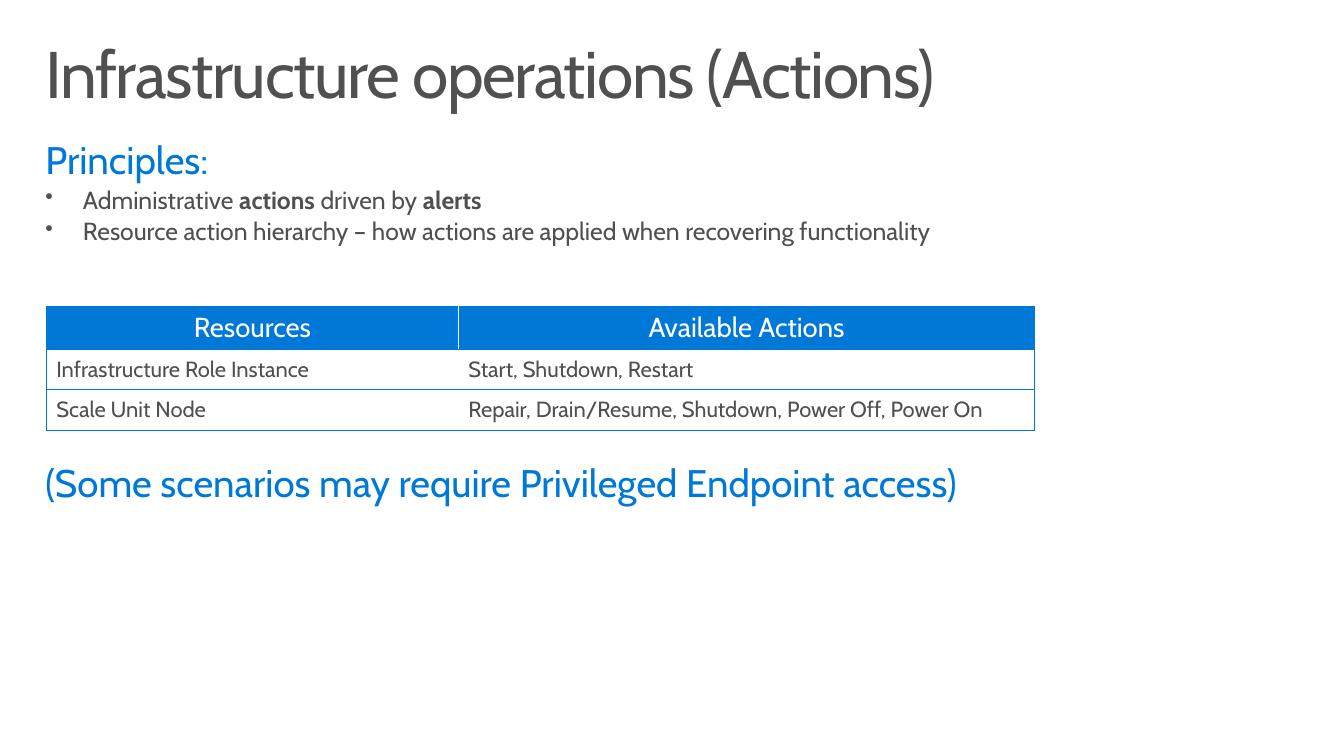
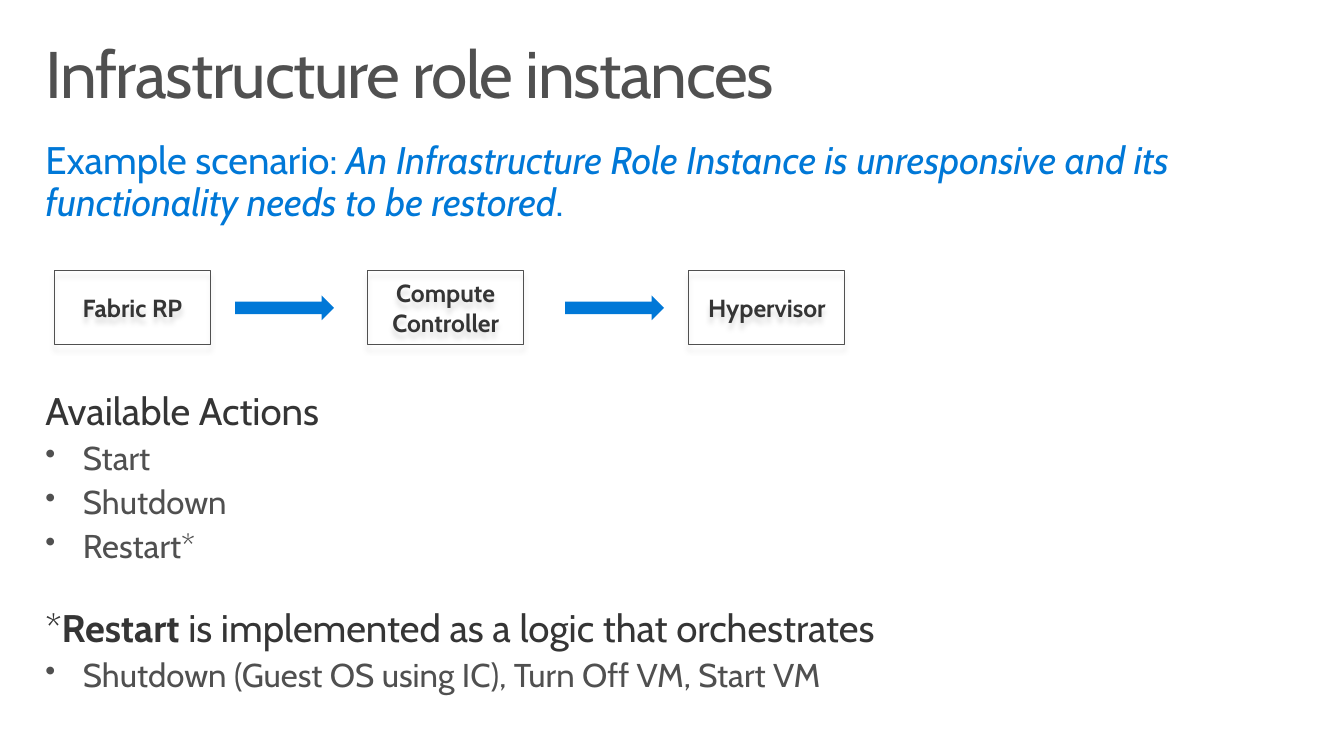
from pptx import Presentation
from pptx.dml.color import RGBColor
from pptx.enum.shapes import MSO_SHAPE as Shape
from pptx.enum.text import MSO_ANCHOR as Anchor, PP_ALIGN as Align
from pptx.oxml.ns import qn
from pptx.util import Inches, Pt
from lxml.etree import SubElement

BLUE = RGBColor(0x00, 0x78, 0xD7)
GRAY = RGBColor(0x50, 0x50, 0x50)
DARK = RGBColor(0x35, 0x35, 0x35)
WHITE = RGBColor(0xFF, 0xFF, 0xFF)
BLACK = RGBColor(0x00, 0x00, 0x00)
FONT = "Cabin"
TEXT_LEFT, TEXT_WIDTH = 0.3, 13
HEADING_SIZE = 28


class Deck:
    def __init__(self):
        self.presentation = Presentation()
        self.presentation.slide_width = Inches(13.6)
        self.presentation.slide_height = Inches(7.65)
        self.slide = None

    def add_slide(self, title):
        self.slide = self.presentation.slides.add_slide(self.presentation.slide_layouts[6])
        paragraph = self.text_box(0.32, 1).paragraphs[0]
        self.set_text(paragraph, title, 48, GRAY)
        for run in paragraph.runs:
            run._r.get_or_add_rPr().set("spc", "-100")

    def text_box(self, top, height):
        box = self.slide.shapes.add_textbox(
            Inches(TEXT_LEFT), Inches(top), Inches(TEXT_WIDTH), Inches(height))
        frame = box.text_frame
        frame.word_wrap = True
        frame.margin_left = frame.margin_right = Inches(0.16)
        frame.margin_top = frame.margin_bottom = Inches(0.1)
        frame.paragraphs[0].line_spacing = 0.9
        return frame

    def set_text(self, paragraph, content, size, color, italic=False):
        """Set a string, or a list whose every second part is bold or italic."""
        if isinstance(content, str):
            paragraph.text = content
        else:
            for index, part in enumerate(content):
                run = paragraph.add_run()
                run.text = part
                if index % 2:
                    run.font.bold = not italic
                    run.font.italic = italic
        for run in paragraph.runs:
            run.font.name = FONT
            run.font.size = Pt(size)
            run.font.color.rgb = color

    def heading(self, top, height, content, color=BLUE, italic=False):
        """Start a text box with a heading and return its frame."""
        frame = self.text_box(top, height)
        self.set_text(frame.paragraphs[0], content, HEADING_SIZE, color, italic)
        return frame

    def bullet(self, frame, content, size, before=0, after=0):
        paragraph = frame.add_paragraph()
        properties = paragraph._p.get_or_add_pPr()
        properties.set("marL", str(Inches(0.38)))
        properties.set("indent", str(Inches(-0.38)))
        SubElement(properties, qn("a:buSzPct"), val="90000")
        SubElement(properties, qn("a:buChar"), char="•")
        paragraph.line_spacing = 0.9
        paragraph.space_before = Pt(before)
        paragraph.space_after = Pt(after)
        self.set_text(paragraph, content, size, GRAY)

    def table(self, left, top, widths, row_height, rows):
        """Draw a table whose first row is the header."""
        table_frame = self.slide.shapes.add_table(
            len(rows), len(widths), Inches(left), Inches(top),
            Inches(sum(widths)), Inches(row_height * len(rows)))
        table = table_frame.table
        table.first_row = table.horz_banding = False
        for column, width in zip(table.columns, widths):
            column.width = Inches(width)
        for row_index, row in enumerate(rows):
            table.rows[row_index].height = Inches(row_height)
            for column_index, text in enumerate(row):
                cell = table.cell(row_index, column_index)
                paragraph = cell.text_frame.paragraphs[0]
                self.cell_borders(cell, column_index == 0, column_index == len(widths) - 1)
                if row_index == 0:
                    cell.fill.solid()
                    cell.fill.fore_color.rgb = BLUE
                    paragraph.alignment = Align.CENTER
                    self.set_text(paragraph, text, 20, WHITE)
                else:
                    cell.fill.background()
                    cell.vertical_anchor = Anchor.MIDDLE
                    self.set_text(paragraph, text, 16, GRAY)

    def cell_borders(self, cell, is_first, is_last):
        """Outer edges and row rules are blue, inner column edges white."""
        outer, inner = (BLUE, 0.5), (WHITE, 1)
        borders = {"a:lnL": outer if is_first else inner,
                   "a:lnR": outer if is_last else inner,
                   "a:lnT": outer, "a:lnB": outer}
        properties = cell._tc.get_or_add_tcPr()
        for tag, (color, width) in borders.items():
            line = SubElement(properties, qn(tag), w=str(Pt(width)))
            fill = SubElement(line, qn("a:solidFill"))
            SubElement(fill, qn("a:srgbClr"), val=str(color))

    def shape(self, kind, left, top, width, height):
        shape = self.slide.shapes.add_shape(
            kind, Inches(left), Inches(top), Inches(width), Inches(height))
        shape.shadow.inherit = False
        return shape

    def component(self, left, text):
        shape = self.shape(Shape.RECTANGLE, left, 2.74, 1.58, 0.75)
        shape.fill.background()
        shape.line.color.rgb = GRAY
        shape.line.width = Pt(0.85)
        effects = shape._element.spPr.find(qn("a:effectLst"))
        shadow = SubElement(effects, qn("a:outerShdw"), blurRad=str(Pt(4)),
                            dist=str(Pt(4)), dir="5400000", rotWithShape="0")
        color = SubElement(shadow, qn("a:srgbClr"), val=str(BLACK))
        SubElement(color, qn("a:alpha"), val="13000")
        frame = shape.text_frame
        frame.word_wrap = True
        frame.vertical_anchor = Anchor.MIDDLE
        frame.margin_left = frame.margin_right = 0
        paragraph = frame.paragraphs[0]
        paragraph.alignment = Align.CENTER
        self.set_text(paragraph, text, 18, DARK)
        paragraph.runs[0].font.bold = True

    def arrow(self, left):
        shape = self.shape(Shape.RIGHT_ARROW, left, 2.99, 1, 0.25)
        shape.fill.solid()
        shape.fill.fore_color.rgb = BLUE
        shape.line.fill.background()


def build_actions(deck):
    deck.add_slide("Infrastructure operations (Actions)")
    principles = deck.heading(1.33, 1.3, "Principles:")
    for content in (
        ["Administrative ", "actions ", "driven by ", "alerts"],
        "Resource action hierarchy – how actions are applied when recovering functionality",
    ):
        deck.bullet(principles, content, 18, before=3.6)
    deck.table(0.47, 3.1, (4.17, 5.83), 0.41, [
        ("Resources", "Available Actions"),
        ("Infrastructure Role Instance", "Start, Shutdown, Restart"),
        ("Scale Unit Node", "Repair, Drain/Resume, Shutdown, Power Off, Power On"),
    ])
    deck.heading(4.6, 0.63, "(Some scenarios may require Privileged Endpoint access)")


def build_role_instances(deck):
    deck.add_slide("Infrastructure role instances")
    deck.heading(1.33, 1.05, [
        "Example scenario: ",
        "An Infrastructure Role Instance is unresponsive and its "
        "functionality needs to be restored",
        ".",
    ], italic=True)
    for left, name in ((0.55, "Fabric RP"), (3.72, "Compute Controller"), (6.97, "Hypervisor")):
        deck.component(left, name)
    for left in (2.38, 5.72):
        deck.arrow(left)

    actions = deck.heading(3.87, 3.37, "Available Actions", DARK)
    actions.paragraphs[0].space_after = Pt(6)
    for action in ("Start", "Shutdown", "Restart*"):
        deck.bullet(actions, action, 24, after=6)
    footnote = actions.add_paragraph()
    footnote.line_spacing = 0.9
    footnote.space_before = Pt(25.7)
    footnote.space_after = Pt(6)
    deck.set_text(footnote, ["*", "Restart", " is implemented as a logic that orchestrates"],
                  HEADING_SIZE, DARK)
    deck.bullet(actions, "Shutdown (Guest OS using IC), Turn Off VM, Start VM", 24, after=6)


def main():
    deck = Deck()
    build_actions(deck)
    build_role_instances(deck)
    deck.presentation.save("out.pptx")


if __name__ == "__main__":
    main()
